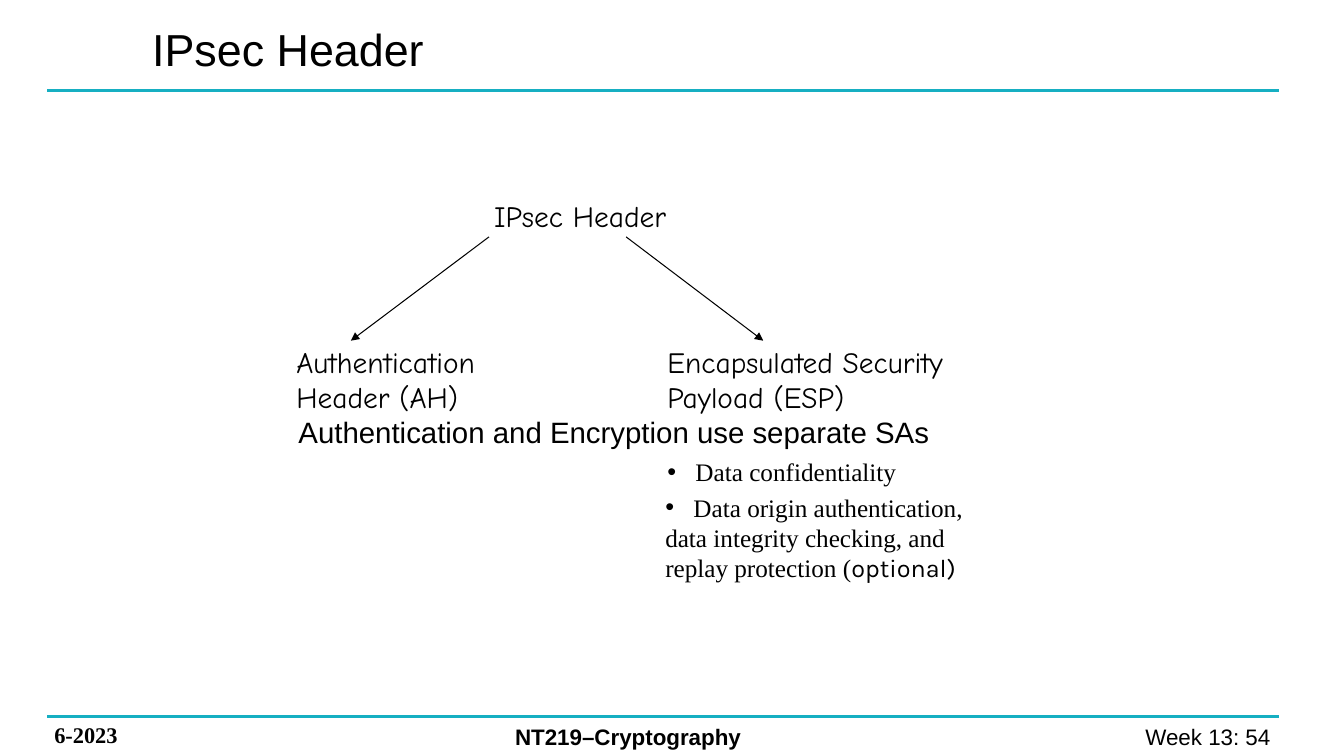
from dataclasses import dataclass

from lxml.etree import SubElement
from pptx import Presentation
from pptx.dml.color import RGBColor
from pptx.enum.shapes import MSO_CONNECTOR
from pptx.enum.text import MSO_ANCHOR, MSO_AUTO_SIZE, PP_ALIGN
from pptx.oxml.ns import qn
from pptx.util import Inches, Pt

COLORS = {"rule": "16AFC2", "ink": "000000"}
SANS, SERIF, HAND = "Arial", "Times New Roman", "Comic Neue"


@dataclass
class Line:
    start: tuple[float, float]
    end: tuple[float, float]
    color: str = "ink"
    width: float = 0.75
    arrow: bool = False


@dataclass
class Label:
    text: str
    box: tuple[float, float, float, float]
    font: str
    size: float
    bold: bool = False
    align: PP_ALIGN = PP_ALIGN.LEFT
    wrap: bool = False
    tight: bool = False
    bullet: bool = False


def style(run, font: str, size: float, bold: bool = False) -> None:
    run.font.name = font
    run.font.size = Pt(size)
    run.font.bold = bold
    run.font.color.rgb = RGBColor.from_string(COLORS["ink"])


def add_bullet(para) -> None:
    props = para._p.get_or_add_pPr()
    props.set("marL", str(Inches(0.28)))
    props.set("indent", str(Inches(-0.28)))
    SubElement(props, qn("a:buFont"), typeface=SANS)
    SubElement(props, qn("a:buChar"), char="•")


def add_line(slide, line: Line) -> None:
    points = [Inches(v) for v in (*line.start, *line.end)]
    shape = slide.shapes.add_connector(MSO_CONNECTOR.STRAIGHT, *points)
    shape.line.color.rgb = RGBColor.from_string(COLORS[line.color])
    shape.line.width = Pt(line.width)
    if line.arrow:
        SubElement(shape.line._get_or_add_ln(), qn("a:tailEnd"), type="triangle")
    SubElement(shape._element.spPr, qn("a:effectLst"))


def add_label(slide, label: Label):
    frame = slide.shapes.add_textbox(*map(Inches, label.box)).text_frame
    frame.word_wrap = label.wrap
    if label.tight:
        frame.margin_left = frame.margin_right = Inches(0.07)
        frame.margin_top = frame.margin_bottom = Inches(0.03)
    frame.text = label.text
    if label.bullet:
        add_bullet(frame.paragraphs[0])
    for para in frame.paragraphs:
        para.alignment = label.align
        for run in para.runs:
            style(run, label.font, label.size, label.bold)
    return frame


def add_title(slide, text: str) -> None:
    title = slide.shapes.title
    title.left, title.top = Inches(1.41), Inches(-0.01)
    title.width, title.height = Inches(6.19), Inches(0.99)
    frame = title.text_frame
    frame.text = text
    frame.auto_size = MSO_AUTO_SIZE.NONE
    frame.vertical_anchor = MSO_ANCHOR.MIDDLE
    para = frame.paragraphs[0]
    para.alignment = PP_ALIGN.LEFT
    style(para.runs[0], SANS, 32)


# Rules above and below the body, then the tree's arrows
LINES = [Line((0.47, y), (12.69, y), "rule", 2.25) for y in (0.9, 7.11)] + [
    Line((4.85, 2.35), (3.48, 3.38), arrow=True),
    Line((6.21, 2.35), (7.57, 3.38), arrow=True),
]

LABELS = [
    # Footer
    Label("6-2023", (0.44, 7.11, 1.78, 0.37), SERIF, 16, bold=True, wrap=True),
    Label("NT219–Cryptography", (5.01, 7.12, 4.09, 0.37), SANS, 16, bold=True, wrap=True),
    Label("Week 13: 54 ", (9.82, 7.12, 2.94, 0.37), SANS, 16,
          align=PP_ALIGN.RIGHT, wrap=True),
    # Header tree, each box wide enough for its longest line
    Label("IPsec Header", (4.83, 1.94, 2, 0.39), HAND, 21, tight=True),
    Label("Authentication \vHeader (AH)", (2.87, 3.38, 2.1, 0.57), HAND, 21, tight=True),
    Label("Encapsulated Security \vPayload (ESP)", (6.55, 3.38, 3.81, 0.57), HAND, 21,
          tight=True),
    Label("Authentication and Encryption use separate SAs", (2.89, 4.08, 6.6, 0.57),
          SANS, 21, tight=True),
    # Services of the payload
    Label("Data confidentiality", (6.52, 4.48, 2.5, 0.4), SERIF, 18, bullet=True),
]
ORIGIN = Label(
    "Data origin authentication,\ndata integrity checking, and\nreplay protection (",
    (6.5, 4.83, 3.86, 1.01), SERIF, 18, wrap=True, bullet=True)


def main() -> None:
    deck = Presentation()
    deck.slide_width, deck.slide_height = Inches(13.33), Inches(7.5)
    slide = deck.slides.add_slide(deck.slide_layouts[5])
    add_title(slide, "IPsec Header")
    for line in LINES:
        add_line(slide, line)
    for label in LABELS:
        add_label(slide, label)

    # The last word has its own font
    frame = add_label(slide, ORIGIN)
    run = frame.paragraphs[-1].add_run()
    run.text = "optional)"
    style(run, "Karla", ORIGIN.size)

    deck.save("out.pptx")


if __name__ == "__main__":
    main()
